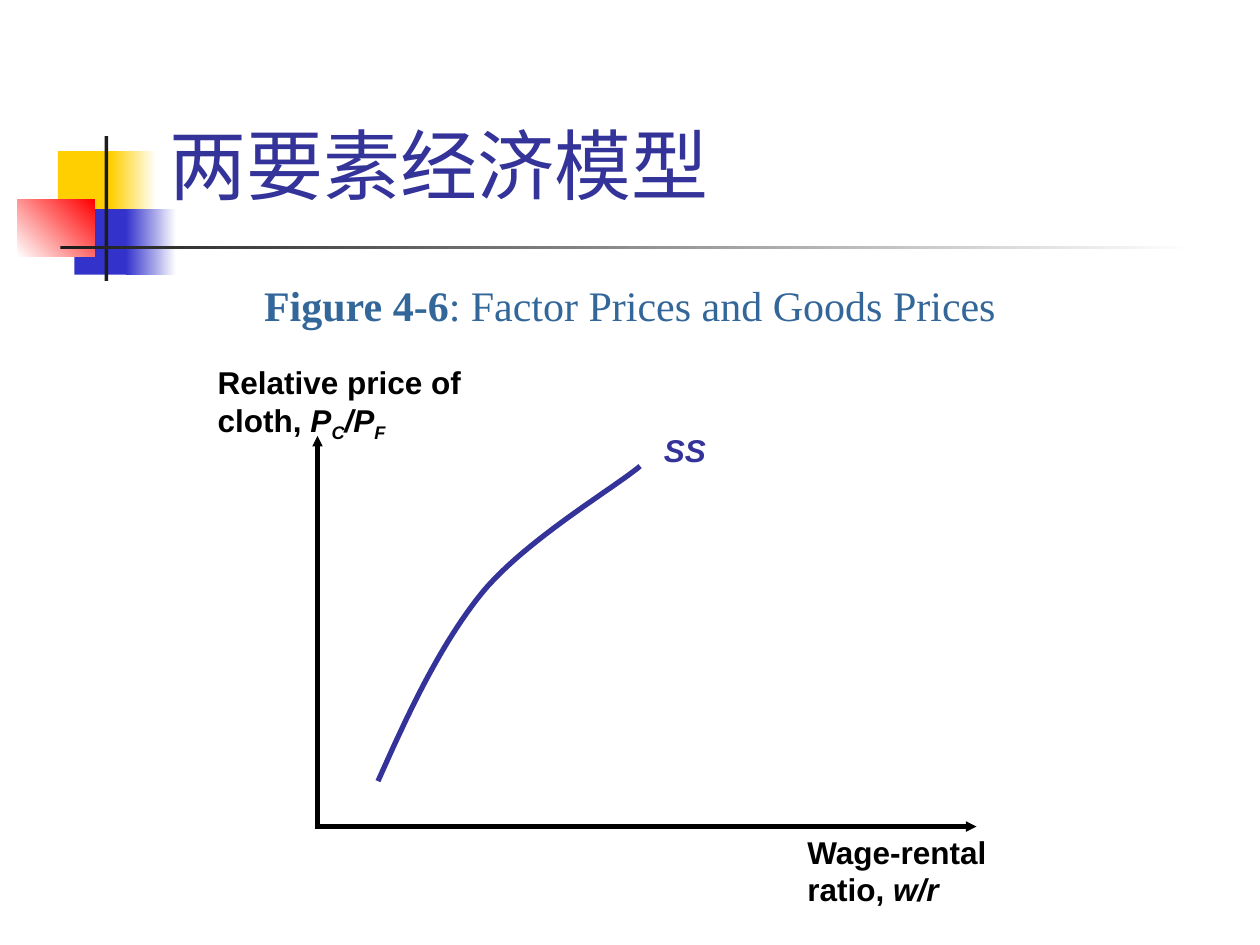
from pptx import Presentation
from pptx.dml.color import RGBColor
from pptx.enum.shapes import MSO_CONNECTOR, MSO_SHAPE
from pptx.enum.text import MSO_ANCHOR, MSO_AUTO_SIZE, PP_ALIGN
from pptx.oxml.ns import qn
from pptx.util import Inches, Pt
from lxml import etree

RECTANGLE = MSO_SHAPE.RECTANGLE
STRAIGHT = MSO_CONNECTOR.STRAIGHT
TOP, MIDDLE, BOTTOM = MSO_ANCHOR.TOP, MSO_ANCHOR.MIDDLE, MSO_ANCHOR.BOTTOM
LEFT, CENTER = PP_ALIGN.LEFT, PP_ALIGN.CENTER
GROW = MSO_AUTO_SIZE.SHAPE_TO_FIT_TEXT

COLORS = {
    "white": "FFFFFF", "black": "000000", "charcoal": "1C1C1C",
    "yellow": "FFCF01", "blue": "3333CC", "red": "FF0000",
    "indigo": "333399", "steel": "336699",
}


def rgb(name):
    return RGBColor.from_string(COLORS[name])


def add_text(box, lines, font, size, color, wrap=True, anchor=TOP, align=LEFT):
    """Each line is a list of (text, style); style letters: b, i, s (subscript)."""
    frame = slide.shapes.add_textbox(*map(Inches, box)).text_frame
    frame.word_wrap = wrap
    if not wrap:
        frame.auto_size = GROW
    frame.vertical_anchor = anchor
    for index, line in enumerate(lines):
        paragraph = frame.add_paragraph() if index else frame.paragraphs[0]
        paragraph.alignment = align
        for text, style in line:
            run = paragraph.add_run()
            run.text = text
            run.font.name = font
            run.font.size = Pt(size)
            run.font.color.rgb = rgb(color)
            run.font.bold = "b" in style
            run.font.italic = "i" in style
            if "s" in style:
                run.font._element.set("baseline", "-25000")


prs = Presentation()
prs.slide_width, prs.slide_height = Inches(10), Inches(7.5)
slide = prs.slides.add_slide(prs.slide_layouts[6])

# Corner ornament and title rule: box, start colour, end colour, angle
ornament = [
    ((0.46, 1.2, 0.48, 0.52), "yellow", None, 0),
    ((0.88, 1.2, 0.36, 0.52), "yellow", "white", 0),
    ((0.59, 1.66, 0.46, 0.52), "blue", None, 0),
    ((1, 1.66, 0.4, 0.52), "blue", "white", 0),
    ((0.14, 1.58, 0.61, 0.46), "white", "red", 45),
    ((0.83, 1.08, 0.03, 1.15), "charcoal", None, 0),
    ((0.48, 1.95, 9, 0.03), "charcoal", "white", 0),
]
for box, start, end, angle in ornament:
    block = slide.shapes.add_shape(RECTANGLE, *map(Inches, box))
    block.shadow.inherit = False
    block.line.fill.background()
    if end:
        block.fill.gradient()
        block.fill.gradient_angle = angle
        for stop, color in zip(block.fill.gradient_stops, (start, end)):
            stop.color.rgb = rgb(color)
    else:
        block.fill.solid()
        block.fill.fore_color.rgb = rgb(start)

# SS curve: two cubic Bezier segments, sampled
segments = [
    ((3, 6.2), (3.24, 5.66), (3.49, 5.12), (3.83, 4.7)),
    ((3.83, 4.7), (4.18, 4.28), (4.88, 3.87), (5.08, 3.7)),
]
STEPS = 24
curve_points = []
for segment in segments:
    for step in range(1, STEPS + 1):
        t = step / STEPS
        weights = ((1 - t) ** 3, 3 * t * (1 - t) ** 2, 3 * t ** 2 * (1 - t), t ** 3)
        curve_points.append(tuple(
            Inches(sum(w * c for w, c in zip(weights, axis)))
            for axis in zip(*segment)))
builder = slide.shapes.build_freeform(Inches(3), Inches(6.2))
builder.add_line_segments(curve_points, close=False)
ss_curve = builder.convert_to_shape()
ss_curve.shadow.inherit = False
ss_curve.fill.background()
ss_curve.line.color.rgb = rgb("indigo")
ss_curve.line.width = Pt(3)

# Axes, with small arrowheads at their far ends
for start, end in [((2.52, 6.56), (2.52, 3.46)), ((2.5, 6.56), (7.75, 6.56))]:
    axis_line = slide.shapes.add_connector(STRAIGHT, *map(Inches, start + end))
    axis_line.line.color.rgb = rgb("black")
    axis_line.line.width = Pt(3)
    etree.SubElement(axis_line.line._get_or_add_ln(), qn("a:tailEnd"),
                     type="triangle", w="sm", len="sm")
    etree.SubElement(axis_line._element.spPr, qn("a:effectLst"))

# Curve and axis labels
add_text((5.17, 3.37, 0.56, 0.4), [[("SS", "bi")]], "Arial", 18, "indigo", wrap=False)
add_text((1.63, 2.83, 2.13, 0.74),
         [[("Relative price of", "b")],
          [("cloth, ", "b"), ("P", "bi"), ("C", "bis"), ("/P", "bi"), ("F", "bis")]],
         "Arial", 18, "black")
add_text((6.31, 6.56, 1.63, 0.7),
         [[("Wage-rental", "b")], [("ratio, ", "b"), ("w/r", "bi")]],
         "Arial", 18, "black", wrap=False)

# Title and figure caption
add_text((1.25, 0.5, 8.52, 1.6), [[("两要素经济模型", "")]],
         "Roboto", 44, "indigo", anchor=MIDDLE)
add_text((0, 1.42, 10, 1.25),
         [[("Figure 4-6", "b"), (": Factor Prices and Goods Prices", "")]],
         "Times New Roman", 24, "steel", anchor=BOTTOM, align=CENTER)

prs.save("out.pptx")
